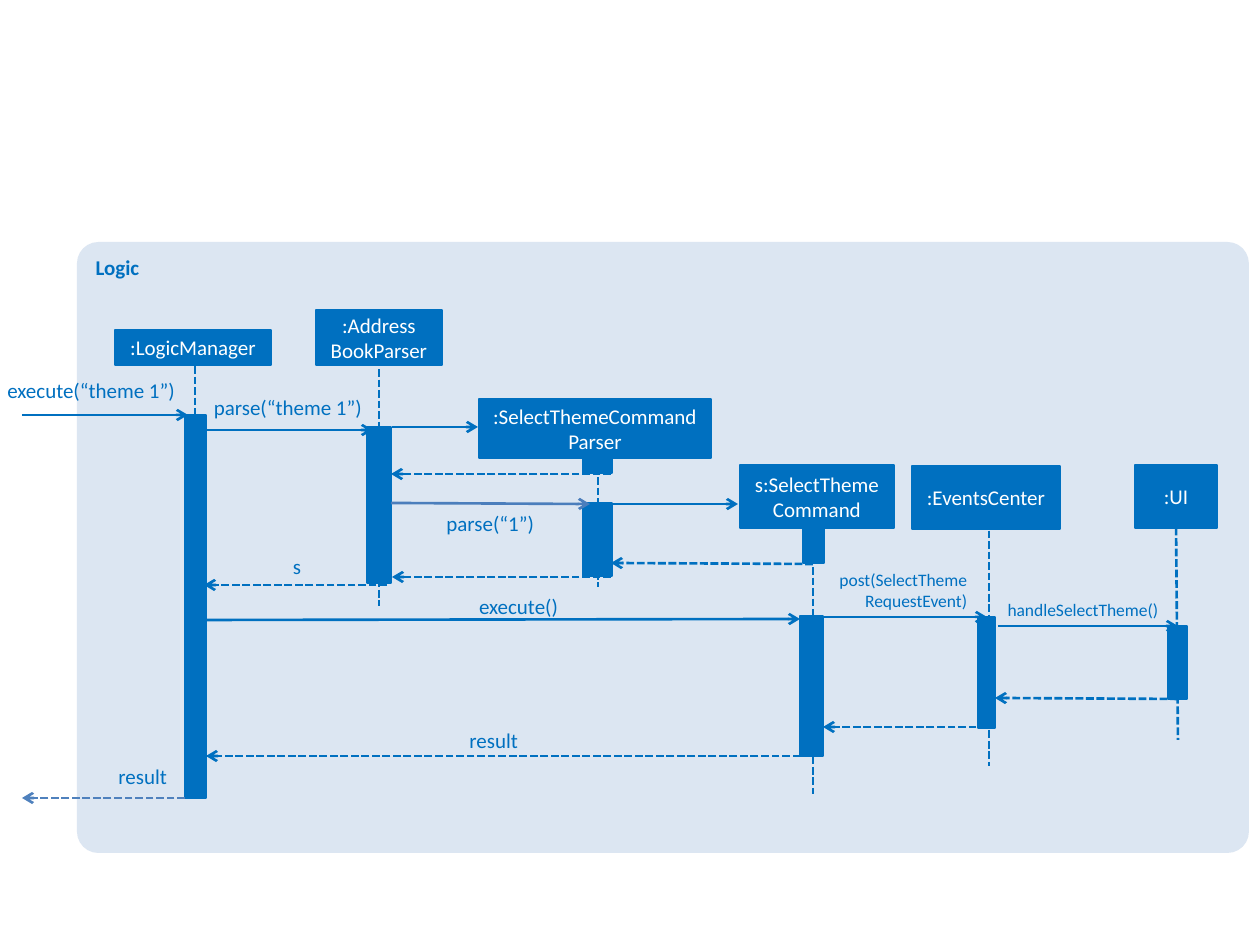
"""Build a sequence diagram of the theme command in the Logic component."""
from typing import NamedTuple

from lxml import etree
from pptx import Presentation
from pptx.dml.color import RGBColor
from pptx.enum.dml import MSO_LINE
from pptx.enum.shapes import MSO_CONNECTOR, MSO_SHAPE
from pptx.enum.text import MSO_ANCHOR, PP_ALIGN
from pptx.oxml.ns import qn
from pptx.util import Emu, Pt

RECT, ROUND = MSO_SHAPE.RECTANGLE, MSO_SHAPE.ROUNDED_RECTANGLE
STRAIGHT, DASH = MSO_CONNECTOR.STRAIGHT, MSO_LINE.SQUARE_DOT
TOP, MIDDLE = MSO_ANCHOR.TOP, MSO_ANCHOR.MIDDLE
LEFT, CENTER, RIGHT = PP_ALIGN.LEFT, PP_ALIGN.CENTER, PP_ALIGN.RIGHT

BLUE = RGBColor(0x00, 0x70, 0xC0)
STEEL = RGBColor(0x4F, 0x81, 0xBD)
SLATE = RGBColor(0x4B, 0x7E, 0xBC)
PALE = RGBColor(0xDC, 0xE6, 0xF2)
WHITE = RGBColor(0xFF, 0xFF, 0xFF)
FONT = "Calibri"
SCALE = 914400 / 126


class Box(NamedTuple):
    x: int
    y: int
    w: int
    h: int
    text: str = ""
    size: int = 12


class Line(NamedTuple):
    x1: int
    y1: int
    x2: int
    y2: int
    reply: bool = False
    color: RGBColor = BLUE


FRAME = Box(77, 242, 1172, 611, "Logic")

HEADS = [
    Box(115, 330, 156, 35, ":LogicManager"),
    Box(316, 310, 126, 55, ":Address\nBookParser"),
    Box(479, 399, 232, 59, ":SelectThemeCommand\nParser"),
    Box(740, 465, 154, 63, "s:SelectTheme\nCommand"),
    Box(912, 466, 148, 63, ":EventsCenter"),
    Box(1135, 465, 82, 63, ":UI"),
]

LIVES = [
    Line(195, 366, 195, 725),
    Line(379, 348, 379, 606),
    Line(598, 435, 598, 587),
    Line(813, 525, 813, 794),
    Line(989, 499, 989, 766),
    Line(1176, 517, 1178, 740),
]

BARS = [
    Box(185, 415, 21, 383),
    Box(367, 427, 24, 156),
    Box(583, 457, 29, 16),
    Box(583, 503, 29, 73),
    Box(803, 525, 21, 38),
    Box(800, 616, 23, 140),
    Box(978, 617, 17, 111),
    Box(1168, 626, 19, 73),
]

CALLS = [
    Line(22, 415, 188, 415),
    Line(206, 430, 373, 430),
    Line(392, 427, 478, 427),
    Line(391, 503, 590, 504, color=SLATE),
    Line(611, 504, 738, 504),
    Line(206, 620, 800, 619),
    Line(823, 617, 987, 617),
    Line(998, 626, 1178, 626),
    Line(611, 474, 391, 474, True),
    Line(813, 564, 611, 563, True),
    Line(611, 577, 392, 577, True),
    Line(387, 585, 204, 585, True),
    Line(1178, 699, 995, 698, True),
    Line(987, 727, 823, 727, True),
    Line(811, 756, 206, 756, True),
    Line(185, 798, 22, 798, True, STEEL),
]

LABELS = [
    Box(-21, 378, 196, 25, "execute(“theme 1”)"),
    Box(166, 395, 196, 25, "parse(“theme 1”)"),
    Box(428, 511, 106, 25, "parse(“1”)"),
    Box(271, 554, 30, 25, "s"),
    Box(440, 594, 118, 25, "execute()"),
    Box(745, 569, 222, 43, "post(SelectTheme\nRequestEvent)", 10),
    Box(936, 599, 222, 21, "handleSelectTheme()", 10),
    Box(432, 728, 86, 25, "result"),
    Box(62, 764, 105, 25, "result"),
]


def px(n: int) -> Emu:
    return Emu(round(n * SCALE))


def area(box: Box) -> list[Emu]:
    return [px(n) for n in box[:4]]


def write(frame, text: str, *, size: int = 12, color: RGBColor = BLUE,
          align=LEFT, anchor=TOP, bold: bool = False) -> None:
    frame.word_wrap = True
    frame.vertical_anchor = anchor
    frame.text = text
    for para in frame.paragraphs:
        para.alignment = align
        for run in para.runs:
            run.font.name = FONT
            run.font.size = Pt(size)
            run.font.bold = bold
            run.font.color.rgb = color


def block(slide, box: Box, *, kind=RECT, fill: RGBColor = BLUE,
          edge: float = 0):
    shape = slide.shapes.add_shape(kind, *area(box))
    shape.shadow.inherit = False
    shape.fill.solid()
    shape.fill.fore_color.rgb = fill
    if edge:
        shape.line.color.rgb = fill
        shape.line.width = Pt(edge)
    else:
        shape.line.fill.background()
    return shape


def stroke(slide, line: Line, *, dash: bool, arrow: bool) -> None:
    link = slide.shapes.add_connector(STRAIGHT, *[px(n) for n in line[:4]])
    link.line.color.rgb = line.color
    link.line.width = Pt(1.5)
    if dash:
        link.line.dash_style = DASH
    if arrow:
        tip = etree.SubElement(link.line._get_or_add_ln(), qn("a:tailEnd"))
        tip.set("type", "arrow")
    etree.SubElement(link._element.spPr, qn("a:effectLst"))


def label(slide, box: Box) -> None:
    frame = slide.shapes.add_textbox(*area(box)).text_frame
    frame.margin_left = frame.margin_right = 0
    frame.margin_top = frame.margin_bottom = 0
    write(frame, box.text, size=box.size, align=RIGHT)


def main() -> None:
    deck = Presentation()
    deck.slide_width, deck.slide_height = px(1260), px(945)
    slide = deck.slides.add_slide(deck.slide_layouts[6])
    panel = block(slide, FRAME, kind=ROUND, fill=PALE)
    panel.adjustments[0] = 0.035
    write(panel.text_frame, FRAME.text, bold=True)
    for life in LIVES:
        stroke(slide, life, dash=True, arrow=False)
    for head in HEADS:
        shape = block(slide, head, edge=1.5)
        write(shape.text_frame, head.text, color=WHITE, align=CENTER,
              anchor=MIDDLE)
    for bar in BARS:
        block(slide, bar, edge=0.75)
    for call in CALLS:
        stroke(slide, call, dash=call.reply, arrow=True)
    for item in LABELS:
        label(slide, item)
    deck.save("out.pptx")


main()
